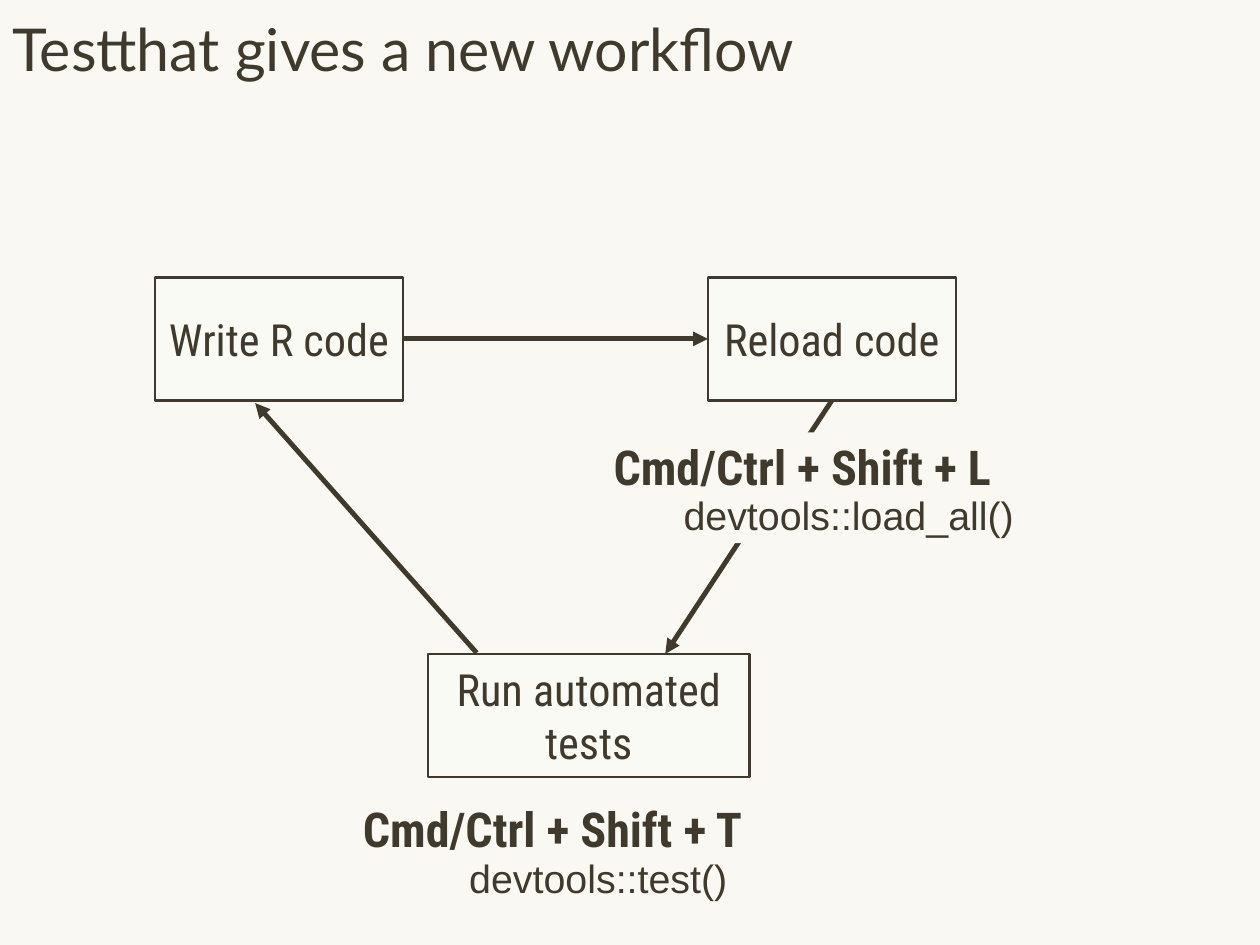
from dataclasses import dataclass
from typing import Any, Optional

from pptx import Presentation
from pptx import util as u
from pptx.dml.color import RGBColor
from pptx.enum import shapes, text
from pptx.oxml.ns import qn
from lxml import etree

INK = RGBColor(0x3F, 0x3A, 0x2D)
PAPER = RGBColor(0xF9, 0xF8, 0xF2)
WHITE = RGBColor(0xFF, 0xFF, 0xFF)

STEP_TOP, STEP_HEIGHT = 225.4, 100
TESTS_TOP = 531.4
STEP_FONT = {"name": "Roboto Condensed", "size": u.Pt(36), "bold": False}
SHORTCUT_FONT = {"name": "Roboto Condensed", "size": u.Pt(39), "bold": True}
FUNCTION_FONT = {"name": "Arial", "size": u.Pt(32), "bold": False}
TITLE_FONT = {"name": "Lato", "size": u.Pt(48), "bold": False}


@dataclass
class Block:
    wording: str
    left: float
    top: float
    width: float
    height: float


@dataclass
class Label(Block):
    font: dict[str, Any]
    wrap: bool


@dataclass
class Arrow:
    start: tuple[float, float]
    end: tuple[float, float]
    source: Optional[tuple[str, int]] = None
    target: Optional[tuple[str, int]] = None


STEPS = [
    Block("Write R code", 126, STEP_TOP, 201.6, STEP_HEIGHT),
    Block("Reload code", 575.3, STEP_TOP, 201.6, STEP_HEIGHT),
    Block("Run automated tests", 347.8, TESTS_TOP, 261.4, STEP_HEIGHT),
]
ARROWS = [
    Arrow((327.6, 275.4), (575.3, 275.4), ("Write R code", 3), ("Reload code", 1)),
    Arrow((676.1, 325.4), (540.7, TESTS_TOP), ("Reload code", 2)),
    Arrow((387.4, 530.6), (207.4, 327.6)),
]
LABELS = [
    Label("Cmd/Ctrl + Shift + L", 494.6, 351.4, 402.5, 55.4, SHORTCUT_FONT, True),
    Label("devtools::load_all()", 551.5, 395.3, 277.9, 46.1, FUNCTION_FONT, False),
    Label("Cmd/Ctrl + Shift + T", 290.9, 645.8, 425.5, 55.4, SHORTCUT_FONT, True),
    Label("devtools::test()", 377.3, 689.8, 219.6, 46.8, FUNCTION_FONT, False),
]


def write_text(shape, wording: str, font: dict[str, Any], align, anchor,
               inset: float, wrap: bool = True) -> None:
    frame = shape.text_frame
    margin = u.Pt(inset)
    frame_format = {
        "margin_left": margin, "margin_top": margin,
        "margin_right": margin, "margin_bottom": margin,
        "word_wrap": wrap, "vertical_anchor": anchor,
    }
    for attribute, value in frame_format.items():
        setattr(frame, attribute, value)
    paragraph = frame.paragraphs[0]
    paragraph.alignment = align
    run = paragraph.add_run()
    run.text = wording
    for attribute, value in font.items():
        setattr(run.font, attribute, value)
    run.font.color.rgb = INK


def add_block(slide, block: Block, fill: RGBColor):
    rectangle = slide.shapes.add_shape(
        shapes.MSO_SHAPE.RECTANGLE, u.Pt(block.left), u.Pt(block.top),
        u.Pt(block.width), u.Pt(block.height))
    rectangle.shadow.inherit = False
    rectangle.fill.solid()
    rectangle.fill.fore_color.rgb = fill
    return rectangle


def add_step(slide, step: Block):
    rectangle = add_block(slide, step, WHITE)
    color = rectangle.fill._xPr.find(qn("a:solidFill"))[0]
    etree.SubElement(color, qn("a:alpha"), val="30000")
    rectangle.line.color.rgb = INK
    rectangle.line.width = u.Pt(2)
    write_text(rectangle, step.wording, STEP_FONT, text.PP_ALIGN.CENTER,
               text.MSO_ANCHOR.MIDDLE, 5)
    return rectangle


def add_label(slide, label: Label) -> None:
    rectangle = add_block(slide, label, PAPER)
    rectangle.line.fill.background()
    write_text(rectangle, label.wording, label.font, text.PP_ALIGN.LEFT,
               text.MSO_ANCHOR.MIDDLE, 4, label.wrap)
    rectangle.text_frame.auto_size = text.MSO_AUTO_SIZE.SHAPE_TO_FIT_TEXT


def add_arrow(slide, arrow: Arrow, steps: dict[str, Any]) -> None:
    ends = [u.Pt(length) for length in arrow.start + arrow.end]
    connector = slide.shapes.add_connector(shapes.MSO_CONNECTOR.STRAIGHT, *ends)
    connector.line.color.rgb = INK
    connector.line.width = u.Pt(4)
    etree.SubElement(connector.line._get_or_add_ln(), qn("a:tailEnd"), type="triangle")
    etree.SubElement(connector._element.spPr, qn("a:effectLst"))
    for joint, connect in ((arrow.source, connector.begin_connect),
                           (arrow.target, connector.end_connect)):
        if joint:
            step, side = joint
            connect(steps[step], side)


def main() -> None:
    deck = Presentation()
    deck.slide_width, deck.slide_height = u.Pt(1024), u.Pt(768)
    slide = deck.slides.add_slide(deck.slide_layouts[6])
    slide.background.fill.solid()
    slide.background.fill.fore_color.rgb = PAPER

    title = slide.shapes.add_textbox(0, 0, deck.slide_width, u.Pt(78))
    write_text(title, "Testthat gives a new workflow", TITLE_FONT,
               text.PP_ALIGN.LEFT, text.MSO_ANCHOR.TOP, 10)
    steps = {step.wording: add_step(slide, step) for step in STEPS}
    for arrow in ARROWS:
        add_arrow(slide, arrow, steps)
    for label in LABELS:
        add_label(slide, label)
    deck.save("out.pptx")


if __name__ == "__main__":
    main()
